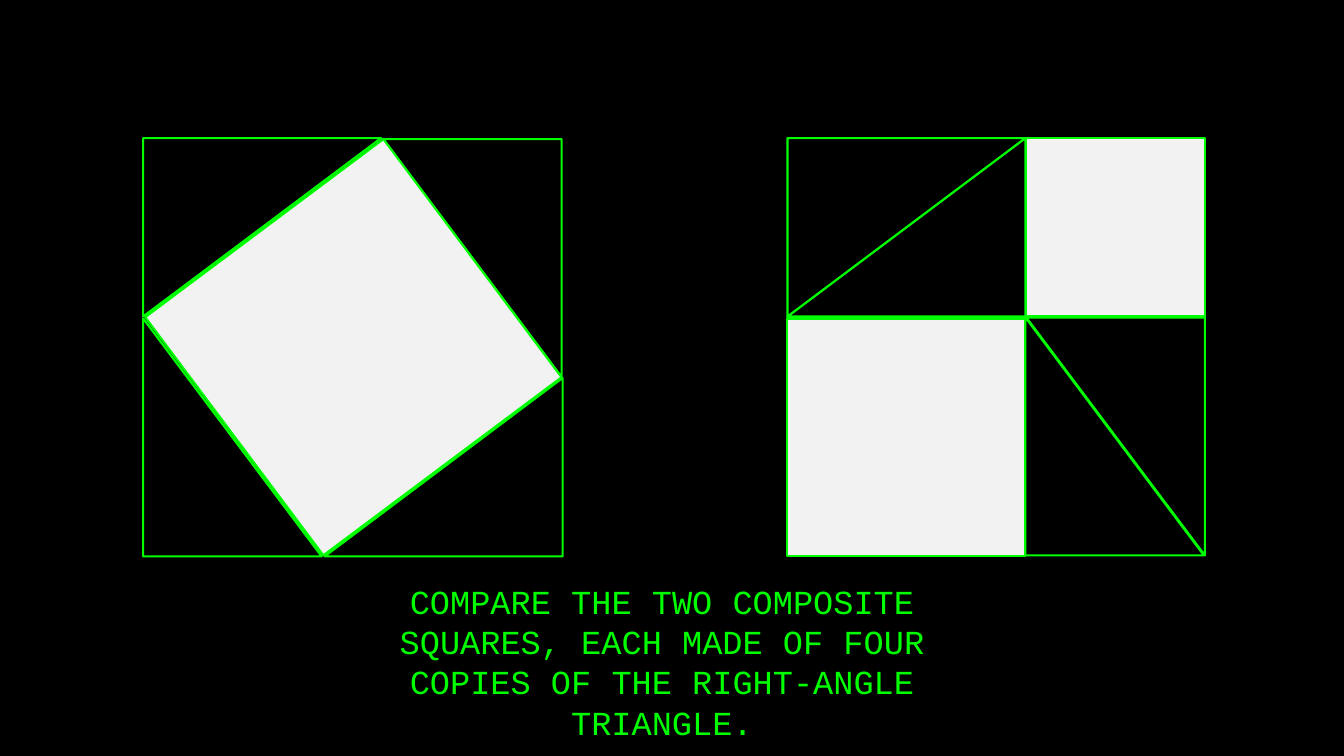
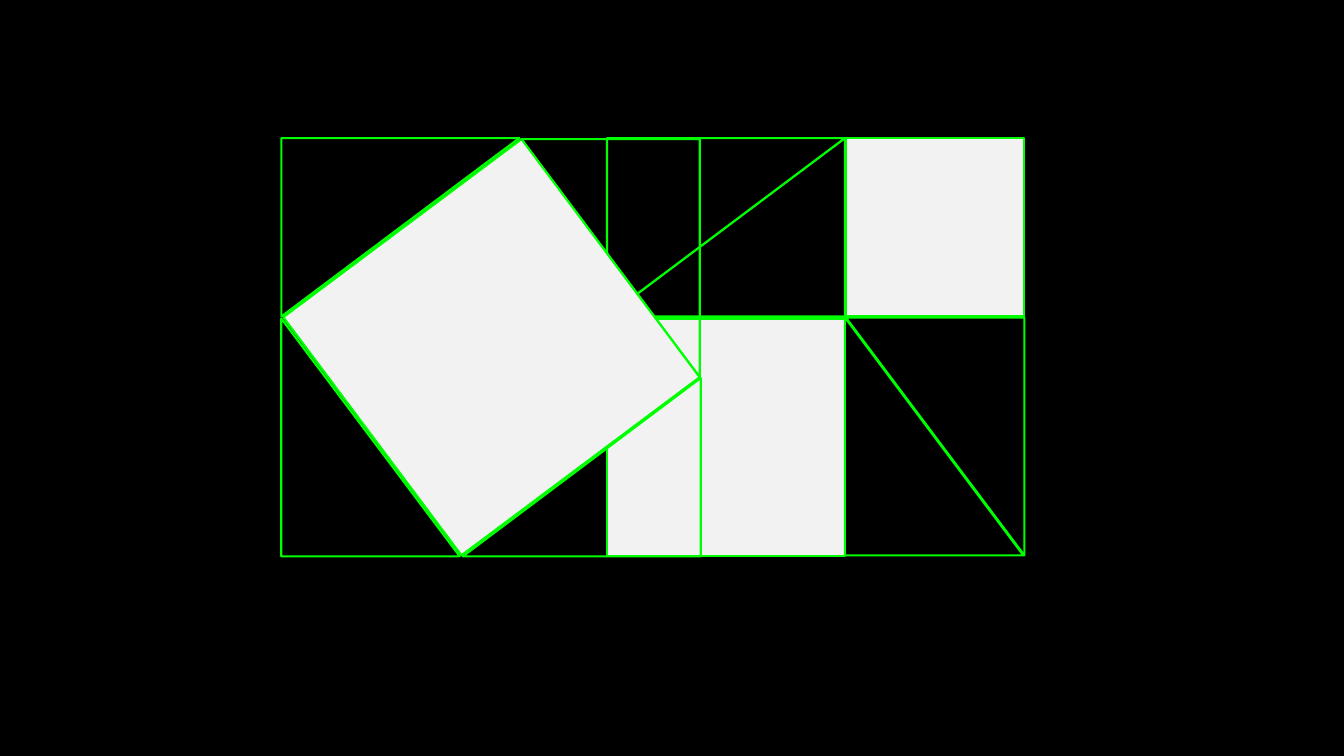
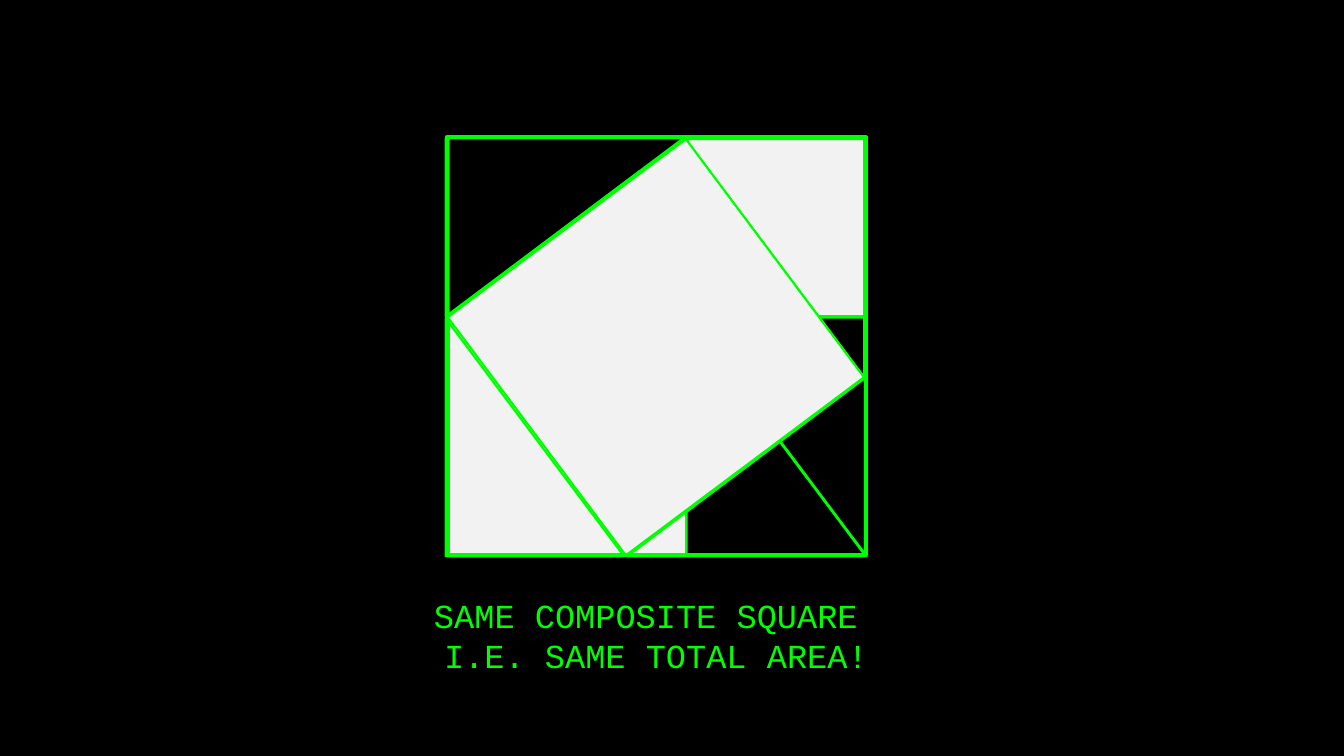
"""Build three slides that compare two composite squares."""
from dataclasses import dataclass

from pptx import Presentation
from pptx import util as u
from pptx.dml.color import RGBColor
from pptx.enum import shapes, text

EMU_PER_PX = 9144
COLORS = {"background": "000000", "outline": "00FF00", "square": "F2F2F2"}
FONT = "Courier New"
SHORT, LONG, HYPOTENUSE = 177, 236, 295
TOP = 137


@dataclass(frozen=True)
class Piece:
    """Part of a composite, placed by its visible corner; a tilted square by its unturned one."""

    left: int
    top: int
    width: int
    height: int
    rotation: float = 0
    is_triangle: bool = False


def triangle(left: int, top: int, rotation: int) -> Piece:
    """Return the right-angle triangle turned by quarter turns."""
    return Piece(left, top, SHORT, LONG, rotation, True)


def square(left: int, top: int, side: int, rotation: float = 0) -> Piece:
    """Return one of the light squares."""
    return Piece(left, top, side, side, rotation)


TWO_SQUARES = (
    triangle(0, 0, 270),
    square(237, 0, SHORT),
    square(0, 179, LONG),
    triangle(236, 178, 0),
    triangle(0, 0, 90),
    triangle(237, 178, 180),
)
TILTED_SQUARE = (
    triangle(180, 238, 270),
    triangle(0, 179, 0),
    triangle(0, 0, 90),
    triangle(238, 1, 180),
    square(61, 60, HYPOTENUSE, 323.2),
)


def px(length: float) -> int:
    """Turn pixels into EMU."""
    return u.Emu(round(length * EMU_PER_PX))


def rgb(name: str) -> RGBColor:
    """Look up a colour by name."""
    return RGBColor.from_string(COLORS[name])


def add_outlined(slide, kind, left: float, top: float, width: int, height: int,
                 *, fill: str | None = None, weight: float = 1.5, rotation: float = 0):
    """Draw a preset shape with a green outline."""
    shape = slide.shapes.add_shape(kind, px(left), px(top), px(width), px(height))
    shape.shadow.inherit = False
    shape.rotation = rotation
    if fill:
        shape.fill.solid()
        shape.fill.fore_color.rgb = rgb(fill)
    else:
        shape.fill.background()
    shape.line.color.rgb = rgb("outline")
    shape.line.width = u.Pt(weight)
    return shape


def add_composite(slide, pieces: tuple[Piece, ...], left: int,
                  *, triangle_fill: str | None = "background") -> None:
    """Draw the pieces of a composite square from its left edge."""
    for piece in pieces:
        sideways = piece.rotation % 180 == 90
        shift = (piece.height - piece.width) / 2 if sideways else 0
        kind = shapes.MSO_SHAPE.RIGHT_TRIANGLE if piece.is_triangle else shapes.MSO_SHAPE.RECTANGLE
        add_outlined(slide, kind, left + piece.left + shift, TOP + piece.top - shift,
                     piece.width, piece.height, rotation=piece.rotation,
                     fill=triangle_fill if piece.is_triangle else "square")


def add_caption(slide, lines: tuple[str, ...], *, left: int, top: int, width: int, height: int,
                size: int = 24, color: str = "outline") -> None:
    """Write centred lines, one paragraph each."""
    box = slide.shapes.add_textbox(px(left), px(top), px(width), px(height))
    frame = box.text_frame
    frame.word_wrap = True
    frame.auto_size = text.MSO_AUTO_SIZE.SHAPE_TO_FIT_TEXT
    frame.text = "\n".join(lines)
    for paragraph in frame.paragraphs:
        paragraph.alignment = text.PP_ALIGN.CENTER
        for run in paragraph.runs:
            run.font.name = FONT
            run.font.size = u.Pt(size)
            run.font.color.rgb = rgb(color)


def add_slide(presentation):
    """Add a blank slide with the shared background."""
    slide = presentation.slides.add_slide(presentation.slide_layouts[6])
    slide.background.fill.solid()
    slide.background.fill.fore_color.rgb = rgb("background")
    return slide


def main() -> None:
    """Build and save the presentation."""
    presentation = Presentation()
    presentation.slide_width, presentation.slide_height = px(1333), px(750)

    apart = add_slide(presentation)
    add_composite(apart, TWO_SQUARES, 781)
    add_composite(apart, TILTED_SQUARE, 142)
    add_caption(apart, ("COMPARE THE TWO COMPOSITE SQUARES, EACH MADE OF FOUR COPIES "
                        "OF THE RIGHT-ANGLE TRIANGLE.",),
                left=378, top=571, width=557, height=172)

    overlapping = add_slide(presentation)
    add_composite(overlapping, TWO_SQUARES, 602)
    add_composite(overlapping, TILTED_SQUARE, 279, triangle_fill=None)

    together = add_slide(presentation)
    add_composite(together, TWO_SQUARES, 445)
    add_composite(together, TILTED_SQUARE, 442, triangle_fill=None)
    add_outlined(together, shapes.MSO_SHAPE.RECTANGLE, 443, 136, 416, 415, weight=3)
    add_caption(together, ("SAME COMPOSITE SQUARE ", "I.E. SAME TOTAL AREA!"),
                left=372, top=585, width=557, height=91)

    presentation.save("out.pptx")


if __name__ == "__main__":
    main()
